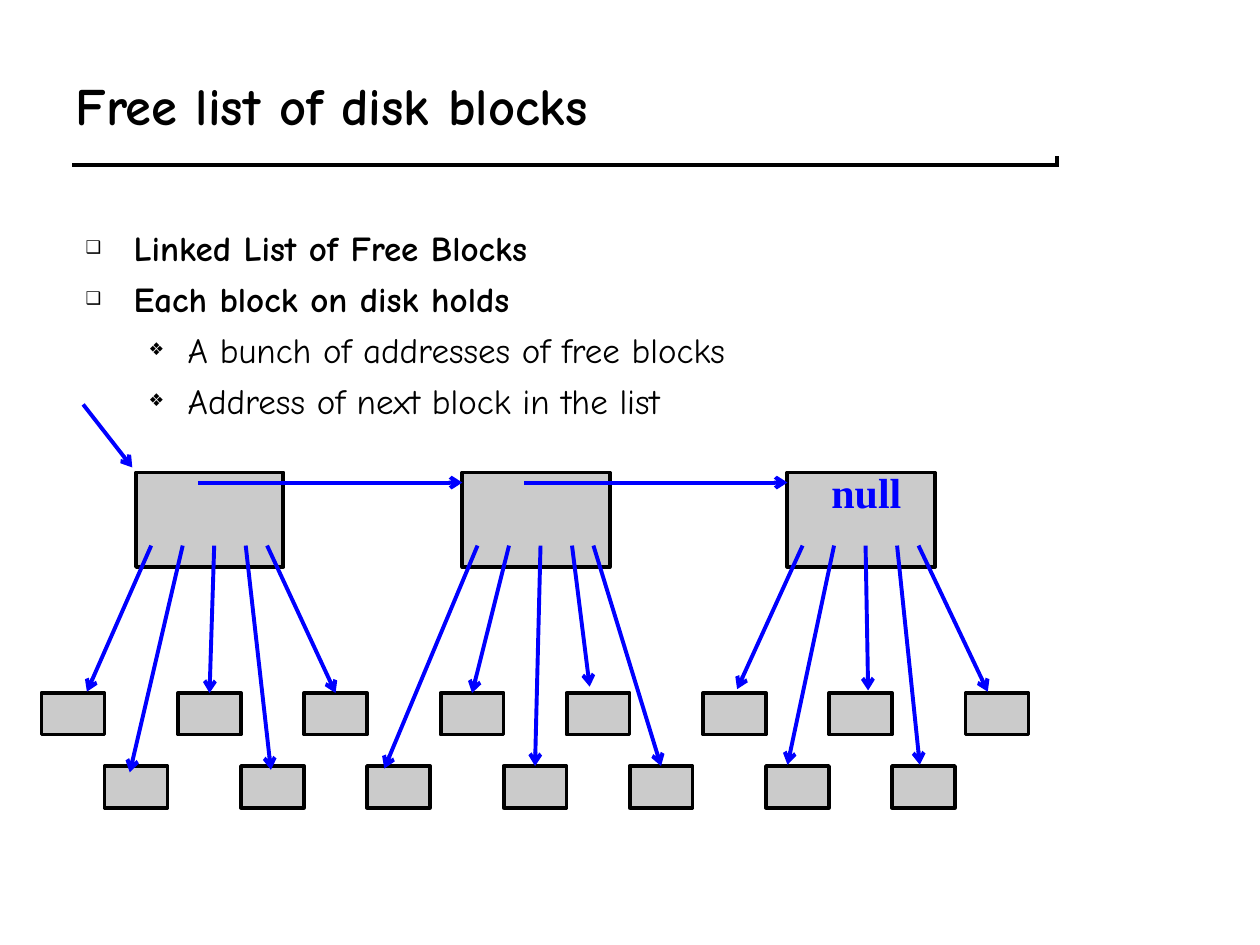
"""Builds the slide on the linked free list of disk blocks."""
from dataclasses import dataclass

from lxml import etree
from pptx import Presentation
from pptx.dml.color import RGBColor
from pptx.enum.shapes import MSO_CONNECTOR, MSO_SHAPE
from pptx.enum.text import MSO_ANCHOR, MSO_AUTO_SIZE, PP_ALIGN
from pptx.oxml.ns import qn
from pptx.util import Inches, Pt

RECTANGLE = MSO_SHAPE.RECTANGLE
STRAIGHT = MSO_CONNECTOR.STRAIGHT
LEFT = PP_ALIGN.LEFT
TOP, MIDDLE = MSO_ANCHOR.TOP, MSO_ANCHOR.MIDDLE
NO_FIT, GROW = MSO_AUTO_SIZE.NONE, MSO_AUTO_SIZE.SHAPE_TO_FIT_TEXT


@dataclass(frozen=True)
class Theme:
    ink: str = "000000"
    paper: str = "FFFFFF"
    block: str = "CBCBCB"
    pointer: str = "0000FF"
    font: str = "Comic Neue"
    label_font: str = "Times New Roman"
    title_size: int = 30
    body_size: int = 20
    label_size: int = 24
    stroke: float = 2.25
    rule: float = 6


class Deck:
    def __init__(self, slide, theme):
        self.slide, self.theme = slide, theme

    def place(self, shape, left, top, width, height):
        shape.left, shape.top = Inches(left), Inches(top)
        shape.width, shape.height = Inches(width), Inches(height)

    def style(self, paragraph, size, font, color, bold):
        for run in paragraph.runs:
            run.font.size, run.font.name, run.font.bold = Pt(size), font, bold
            run.font.color.rgb = RGBColor.from_string(color)

    def title(self, text, *box):
        heading = self.slide.shapes.title
        self.place(heading, *box)
        frame = heading.text_frame
        frame.text = text
        frame.vertical_anchor, frame.auto_size = MIDDLE, NO_FIT
        frame.paragraphs[0].alignment = LEFT
        self.style(frame.paragraphs[0], self.theme.title_size, self.theme.font, self.theme.ink, True)

    def bullet(self, paragraph, char, indent, hanging):
        properties = paragraph._p.get_or_add_pPr()
        properties.set("marL", str(Inches(indent)))
        properties.set("indent", str(-Inches(hanging)))
        color = etree.SubElement(properties, qn("a:buClr"))
        etree.SubElement(color, qn("a:srgbClr"), val=self.theme.ink)
        etree.SubElement(properties, qn("a:buSzPct"), val="50000")
        etree.SubElement(properties, qn("a:buChar"), char=char)

    def bullets(self, items, *box):
        body = self.slide.placeholders[1]
        self.place(body, *box)
        frame = body.text_frame
        frame.text = "\n".join(text for text, _ in items)
        frame.vertical_anchor, frame.auto_size = TOP, NO_FIT
        for index, (paragraph, (_, level)) in enumerate(zip(frame.paragraphs, items)):
            paragraph.level = level
            self.bullet(paragraph, *(("❖", 0.81, 0.31) if level else ("❑", 0.38, 0.38)))
            paragraph.space_before = Pt(5 if index else 0)
            self.style(paragraph, self.theme.body_size, self.theme.font, self.theme.ink, level == 0)

    def block(self, *box):
        block = self.slide.shapes.add_shape(RECTANGLE, *map(Inches, box))
        block.shadow.inherit = False
        block.fill.solid()
        block.fill.fore_color.rgb = RGBColor.from_string(self.theme.block)
        block.line.color.rgb = RGBColor.from_string(self.theme.ink)
        block.line.width = Pt(self.theme.stroke)
        return block

    def line(self, start, end, color, width):
        line = self.slide.shapes.add_connector(STRAIGHT, *map(Inches, (*start, *end)))
        line.line.color.rgb = RGBColor.from_string(color)
        line.line.width = Pt(width)
        etree.SubElement(line._element.spPr, qn("a:effectLst"))
        return line

    def rule(self, start, end, color):
        rule = self.line(start, end, color, self.theme.rule)
        rule.line._get_or_add_ln().set("cap", "sq")

    def arrow(self, start, end, target=None):
        arrow = self.line(start, end, self.theme.pointer, self.theme.stroke)
        etree.SubElement(arrow.line._get_or_add_ln(), qn("a:tailEnd"), type="arrow")
        if target is not None:
            gap_x = abs(arrow.end_x - target.left - target.width // 2)
            gap_y = abs(arrow.end_y - target.top)
            if max(gap_x, gap_y) < Inches(0.025):
                arrow.end_connect(target, 0)

    def label(self, text, *box):
        frame = self.slide.shapes.add_textbox(*map(Inches, box)).text_frame
        frame.text = text
        frame.word_wrap, frame.auto_size = False, GROW
        self.style(frame.paragraphs[0], self.theme.label_size, self.theme.label_font,
                   self.theme.pointer, True)


def main():
    presentation = Presentation()
    presentation.slide_width, presentation.slide_height = Inches(10), Inches(7.5)
    theme = Theme()
    deck = Deck(presentation.slides.add_slide(presentation.slide_layouts[1]), theme)

    deck.rule((0.61, 1.28), (8.36, 1.28), theme.ink)
    deck.rule((0.58, 1.25), (8.33, 1.25), theme.paper)
    deck.title("Free list of disk blocks", 0.5, 0.33, 8.58, 1)
    deck.bullets([
        ("Linked List of Free Blocks", 0),
        ("Each block on disk holds", 0),
        ("A bunch of addresses of free blocks", 1),
        ("Address of next block in the list", 1),
    ], 0.58, 1.75, 8.5, 4.92)

    list_lefts = [1.08, 3.67, 6.25]
    for left in list_lefts:
        deck.block(left, 3.75, 1.17, 0.75)
    free_blocks = [
        deck.block(0.33 + 0.5 * i + (i + 2) // 4 / 12, 6.08 if i % 2 else 5.5, 0.5, 0.33)
        for i in range(15)
    ]

    for left, next_left in zip(list_lefts, list_lefts[1:]):
        deck.arrow((left + 0.49, 3.83), (next_left, 3.83))
    deck.label("null", 6.5, 3.65, 0.8, 0.5)

    address_offsets = [0.12, 0.37, 0.62, 0.87, 1.04]
    starts = [left + offset for left in list_lefts for offset in address_offsets]
    tips = [
        (0.69, 5.49), (1.03, 6.13), (1.67, 5.48), (2.15, 6.11), (2.68, 5.52),
        (3.05, 6.1), (3.77, 5.51), (4.24, 6.09), (4.68, 5.45), (5.25, 6.08),
        (5.85, 5.47), (6.25, 6.07), (6.89, 5.48), (7.3, 6.07), (7.84, 5.49),
    ]
    for start, tip, free_block in zip(starts, tips, free_blocks):
        deck.arrow((start, 4.33), tip, free_block)
    deck.arrow((0.66, 3.21), (1.05, 3.71))

    presentation.save("out.pptx")


if __name__ == "__main__":
    main()
